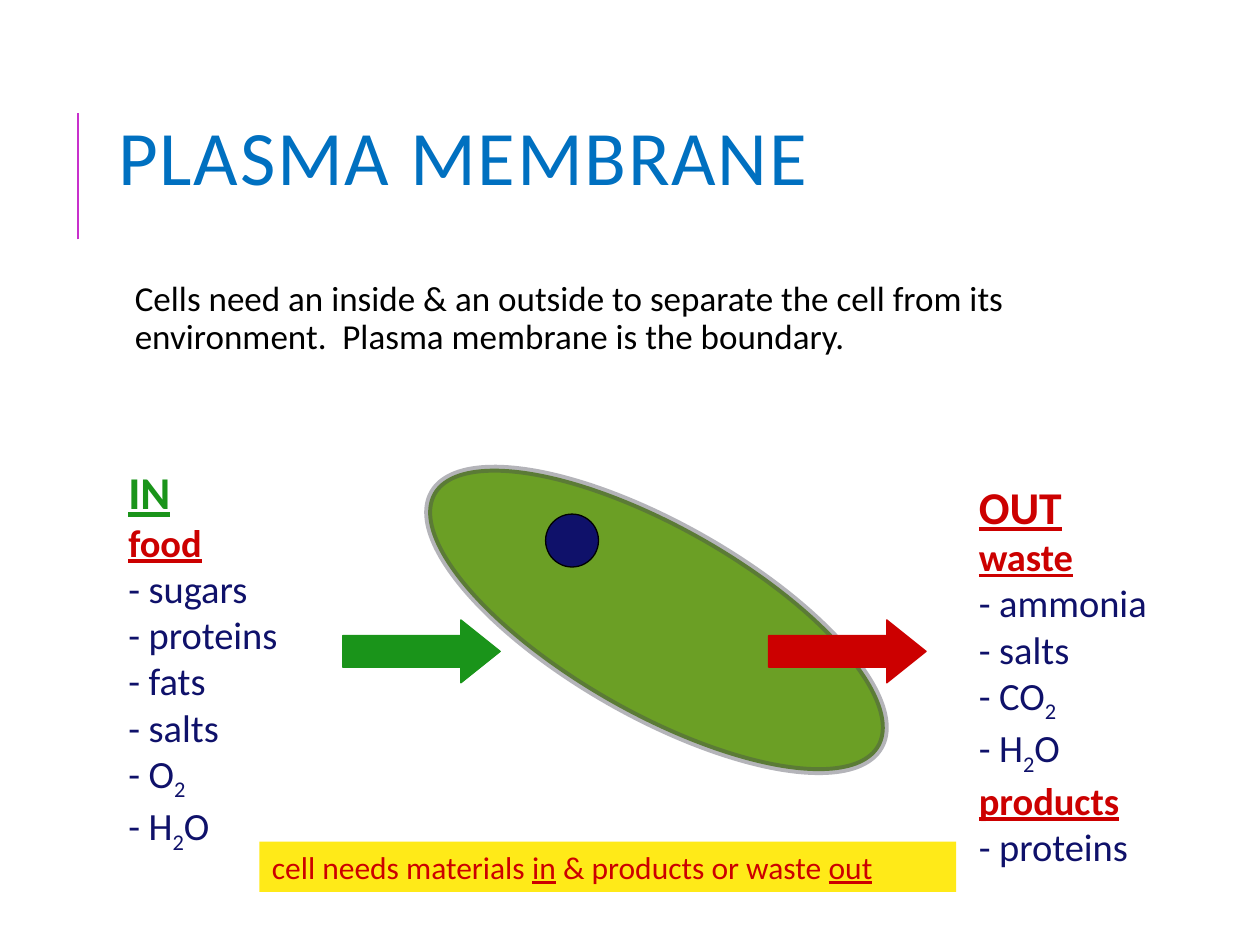
import pptx
import pptx.dml.color
import pptx.enum.shapes
import pptx.enum.text
import pptx.oxml
import pptx.oxml.ns
import pptx.util
import lxml.etree

Inches = pptx.util.Inches
Pt = pptx.util.Pt
RGB = pptx.dml.color.RGBColor.from_string
SHAPES = pptx.enum.shapes.MSO_SHAPE
ANCHOR = pptx.enum.text.MSO_ANCHOR
AUTOSIZE = pptx.enum.text.MSO_AUTO_SIZE
LEFT = pptx.enum.text.PP_ALIGN.LEFT
qn = pptx.oxml.ns.qn

COLORS = {
    "title": "0070C0", "accent": "C830CC", "black": "000000", "navy": "0F116A",
    "green": "1A941A", "red": "CC0000", "cell": "6B9F25", "membrane": "454551",
    "yellow": "FFEA18",
}


def add_run(paragraph, text, size, color, bold=False, underline=False,
            baseline=None, spacing=None):
    run = paragraph.add_run()
    run.text = text
    run.font.name = "Calibri"
    run.font.size = Pt(size)
    run.font.bold = bold
    run.font.underline = underline
    run.font.color.rgb = RGB(COLORS[color])
    properties = run.font._element
    if baseline:
        properties.set("baseline", str(baseline * 1000))
    if spacing:
        properties.set("spc", str(spacing * 100))


def add_filled(kind, left, top, width, height, fill, line=None, line_width=0.75):
    shape = slide.shapes.add_shape(
        kind, Inches(left), Inches(top), Inches(width), Inches(height))
    shape.shadow.inherit = False
    shape.fill.solid()
    shape.fill.fore_color.rgb = RGB(COLORS[fill])
    if line:
        shape.line.color.rgb = RGB(COLORS[line])
        shape.line.width = Pt(line_width)
    else:
        shape.line.fill.background()
    return shape


presentation = pptx.Presentation()
presentation.slide_width = Inches(10)
presentation.slide_height = Inches(7.5)
slide = presentation.slides.add_slide(presentation.slide_layouts[1])

title_rule = slide.shapes.add_connector(
    pptx.enum.shapes.MSO_CONNECTOR.STRAIGHT,
    Inches(0.62), Inches(1.9), Inches(0.62), Inches(0.9))
title_rule.line.color.rgb = RGB(COLORS["accent"])
title_rule.line.width = Pt(1.5)
lxml.etree.SubElement(title_rule._element.spPr, qn("a:effectLst"))

title = slide.shapes.title
title.left, title.top = Inches(0.84), Inches(0.64)
title.width, title.height = Inches(7.97), Inches(1.31)
title.text_frame.auto_size = AUTOSIZE.NONE
title.text_frame.vertical_anchor = ANCHOR.MIDDLE
heading = title.text_frame.paragraphs[0]
heading.alignment = LEFT
heading.line_spacing = 0.8
add_run(heading, "PLASMA MEMBRANE", size=44, color="title", spacing=1)

summary = slide.placeholders[1]
summary.left, summary.top = Inches(0.92), Inches(2.18)
summary.width, summary.height = Inches(7.97), Inches(4.4)
summary_frame = summary.text_frame
summary_frame.auto_size = AUTOSIZE.NONE
summary_frame.margin_left = summary_frame.margin_right = Inches(0.05)
summary_frame.margin_top = summary_frame.margin_bottom = Inches(0.05)
statement = summary_frame.paragraphs[0]
statement_properties = statement._p.get_or_add_pPr()
statement_properties.set("marL", str(Inches(0.1)))
statement_properties.set("indent", str(Inches(-0.1)))
lxml.etree.SubElement(statement_properties, qn("a:buChar"), char=" ")
statement.line_spacing = 0.9
statement.space_before = Pt(0)
statement.space_after = Pt(2)
add_run(statement,
        "Cells need an inside & an outside to separate the cell from its "
        "environment.  Plasma membrane is the boundary.",
        size=20, color="black")

cell = add_filled(SHAPES.OVAL, 3.17, 4.17, 4.08, 1.5, "cell", "membrane", 4.5)
cell.rotation = 29.6
membrane_color = cell.line._ln.find(".//" + qn("a:srgbClr"))
lxml.etree.SubElement(membrane_color, qn("a:alpha"), val="40000")
add_filled(SHAPES.OVAL, 4.33, 4.08, 0.42, 0.42, "navy", "black")

for arrow_left, arrow_color in ((2.72, "green"), (6.1, "red")):
    arrow = add_filled(SHAPES.RIGHT_ARROW, arrow_left, 4.92, 1.25, 0.5,
                       arrow_color, arrow_color)
    arrow.adjustments[0] = 0.5
    arrow.adjustments[1] = 0.625

exchanges = (
    (0.92, 3.67, 1.43, False, ANCHOR.MIDDLE, "green",
     ("IN", "food", "- sugars", "- proteins", "- fats", "- salts", "- O2", "- H2O")),
    (7.67, 3.75, 2, True, ANCHOR.TOP, "red",
     ("OUT", "waste", "- ammonia", "- salts", "- CO2", "- H2O", "products",
      "- proteins")),
)
for left, top, width, wrap, anchor, direction_color, entries in exchanges:
    exchange = slide.shapes.add_textbox(
        Inches(left), Inches(top), Inches(width), Inches(3.13)).text_frame
    exchange.word_wrap = wrap
    exchange.auto_size = AUTOSIZE.SHAPE_TO_FIT_TEXT
    exchange.vertical_anchor = anchor
    for number, entry in enumerate(entries):
        line = exchange.add_paragraph() if number else exchange.paragraphs[0]
        tabs = lxml.etree.SubElement(line._p.get_or_add_pPr(), qn("a:tabLst"))
        lxml.etree.SubElement(tabs, qn("a:tab"), pos=str(Inches(0.12)), algn="l")
        if number == 0:
            add_run(line, entry, size=26, color=direction_color, bold=True,
                    underline=True)
        elif not entry.startswith("-"):
            add_run(line, entry, size=22, color="red", bold=True, underline=True)
        else:
            for part in filter(None, entry.partition("2")):
                add_run(line, part, size=22, color="navy",
                        baseline=-25 if part == "2" else None)

caption = add_filled(SHAPES.RECTANGLE, 2.06, 6.68, 5.53, 0.4, "yellow")
caption.text_frame.word_wrap = True
caption.text_frame.auto_size = AUTOSIZE.SHAPE_TO_FIT_TEXT
caption.text_frame.vertical_anchor = ANCHOR.MIDDLE
caption_line = caption.text_frame.paragraphs[0]
caption_line.alignment = LEFT
for words, underlined in (("cell needs materials ", False), ("in", True),
                          (" & products or waste ", False), ("out", True)):
    add_run(caption_line, words, size=18, color="red", underline=underlined)

presentation.save("out.pptx")
